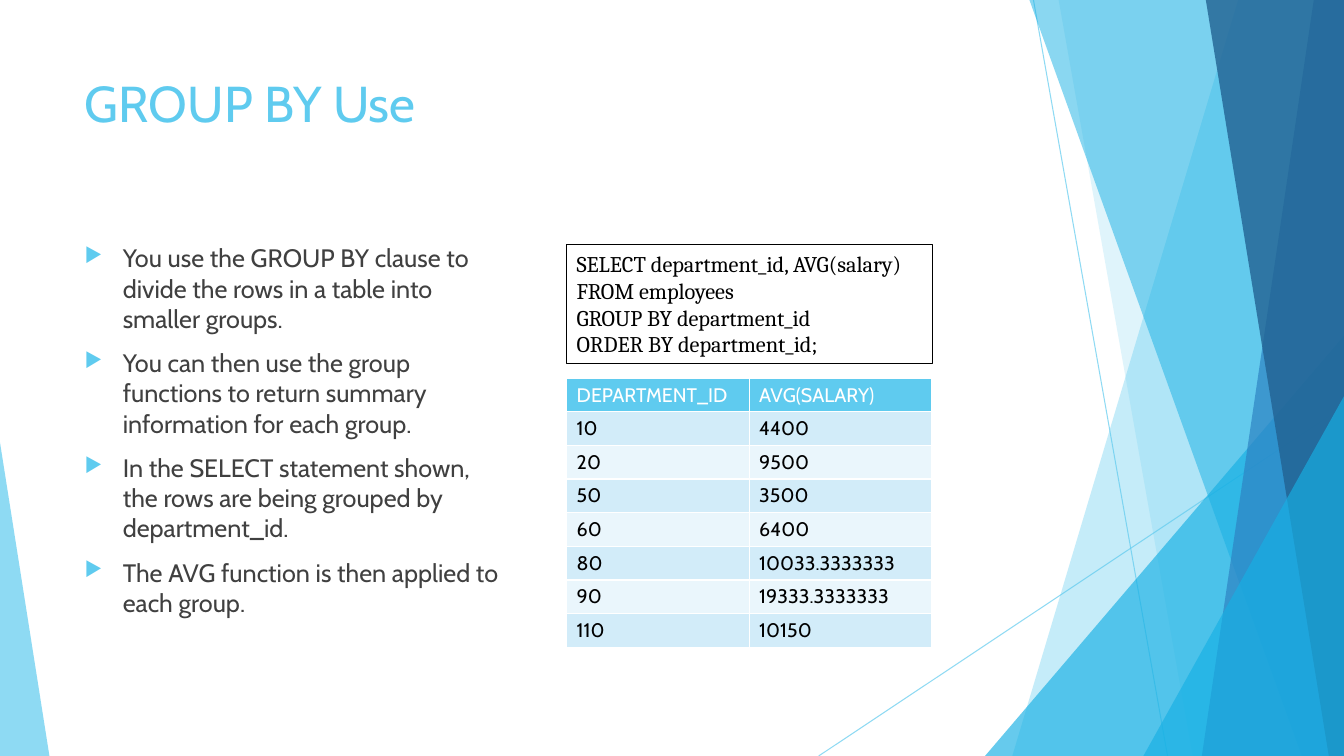
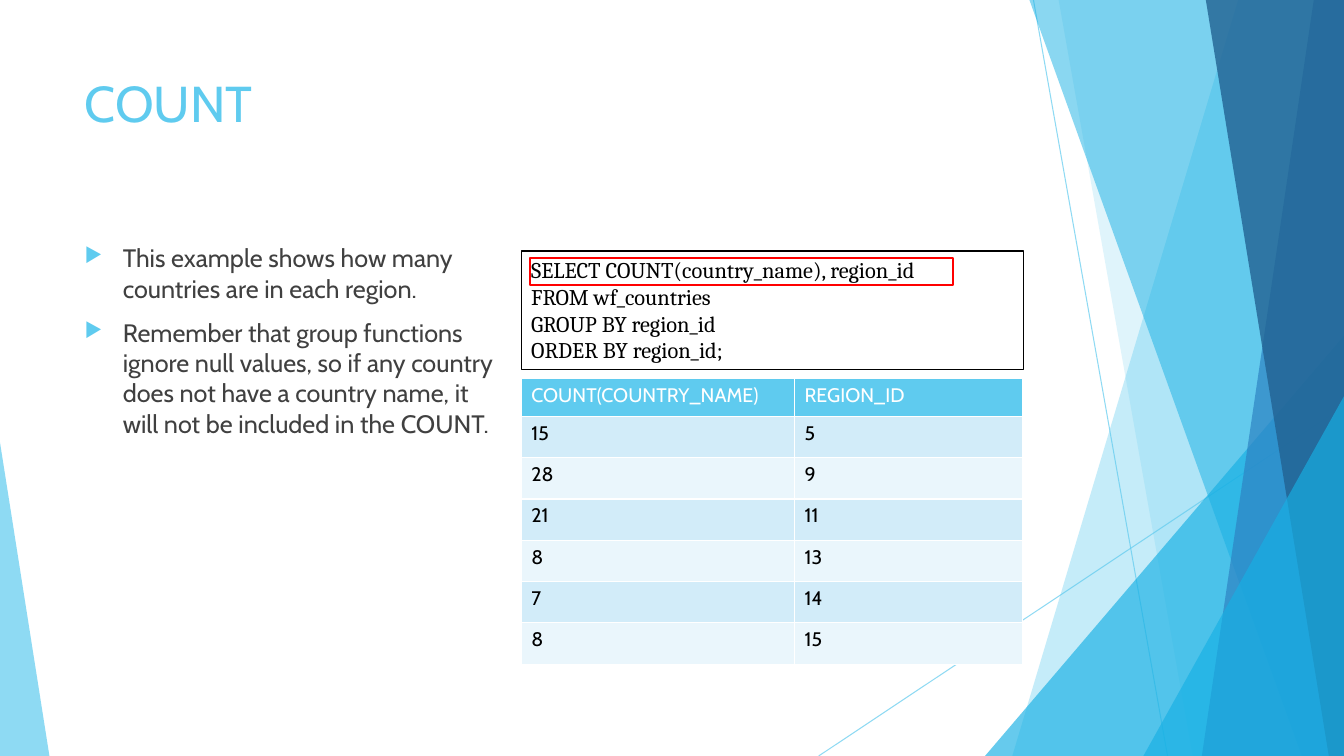
from lxml import etree
from pptx import Presentation
from pptx.dml.color import RGBColor
from pptx.enum.shapes import MSO_CONNECTOR, MSO_SHAPE
from pptx.enum.text import MSO_ANCHOR, PP_ALIGN
from pptx.oxml.ns import qn
from pptx.util import Inches, Pt

WIDTH, HEIGHT = 13.33, 7.5
COLORS = {
    "sky": "5FCBEF",
    "cyan": "17B0E4",
    "blue": "2E83C3",
    "navy": "226292",
    "text": "404040",
    "black": "000000",
    "white": "FFFFFF",
    "red": "FF0000",
    "odd_row": "D2ECF9",
    "even_row": "EAF6FC",
}
BODY_FONT, CODE_FONT = "Cabin", "Cambria"


def color(name):
    return RGBColor.from_string(COLORS[name])


def set_opacity(color_format_parent, percent):
    """Make the solid colour inside a fill or line element translucent."""
    rgb = next(color_format_parent.iter(qn("a:srgbClr")))
    etree.SubElement(rgb, qn("a:alpha"), val=str(percent * 1000))


def add_bullet(paragraph):
    properties = paragraph._p.get_or_add_pPr()
    properties.set("marL", str(Inches(0.38)))
    properties.set("indent", str(Inches(-0.38)))
    bullet_color = etree.SubElement(properties, qn("a:buClr"))
    etree.SubElement(bullet_color, qn("a:srgbClr"), val=COLORS["sky"])
    etree.SubElement(properties, qn("a:buSzPct"), val="80000")
    etree.SubElement(properties, qn("a:buChar"), char="▶")


class Deck:
    def __init__(self):
        self.presentation = Presentation()
        self.presentation.slide_width = Inches(WIDTH)
        self.presentation.slide_height = Inches(HEIGHT)
        self.layout = self.presentation.slide_layouts[5]
        self.slide = None

    def add_slide(self, title):
        is_first = self.slide is None
        self.slide = self.presentation.slides.add_slide(self.layout)
        if is_first:
            self.decorate_layout()
        placeholder = self.slide.shapes.title
        placeholder.left, placeholder.top = Inches(0.74), Inches(0.67)
        placeholder.width, placeholder.height = Inches(9.4), Inches(1.44)
        frame = placeholder.text_frame
        frame.vertical_anchor = MSO_ANCHOR.TOP
        frame.text = title
        frame.paragraphs[0].alignment = PP_ALIGN.LEFT
        self.style(frame.paragraphs[0], 36, "sky")

    def style(self, paragraph, size, color_name, font_name=BODY_FONT):
        font = paragraph.font
        font.name, font.size, font.bold = font_name, Pt(size), False
        font.color.rgb = color(color_name)

    def decorate_layout(self):
        """Draw the facets on the first slide, then move them to the layout."""
        shapes = [
            self.ray(10.25, 0, 11.58, HEIGHT),
            self.ray(WIDTH, 4.03, 8.12, HEIGHT),
            self.facet(12.28, 10.04, "sky", 36),
            self.facet(10.5, 11.83, "sky", 20),
            self.corner(9.77, 3.33, 3.56, "cyan", 66, 1),
            self.facet(10.21, 12.91, "cyan", 50),
            self.facet(13.03, 11.92, "blue", 70),
            self.facet(11.96, 13.18, "navy", 80),
            self.corner(11.34, 3.93, 1.99, "cyan", 66, 1),
            self.corner(0, 4.39, 0.49, "sky", 70, 0),
        ]
        for number, shape in enumerate(shapes, start=20):
            next(shape.element.iter(qn("p:cNvPr"))).set("id", str(number))
            self.layout.shapes.element.append(shape.element)

    def ray(self, x1, y1, x2, y2):
        connector = self.slide.shapes.add_connector(
            MSO_CONNECTOR.STRAIGHT, Inches(x1), Inches(y1), Inches(x2), Inches(y2))
        connector.line.color.rgb = color("sky")
        connector.line.width = Pt(0.75)
        properties = connector.element.spPr
        set_opacity(properties, 70)
        etree.SubElement(properties, qn("a:effectLst"))
        return connector

    def facet(self, top_x, bottom_x, color_name, opacity):
        """Fill from a slanted left edge to the right edge of the slide."""
        builder = self.slide.shapes.build_freeform(Inches(top_x), 0)
        corners = [(WIDTH, 0), (WIDTH, HEIGHT), (bottom_x, HEIGHT)]
        builder.add_line_segments([(Inches(x), Inches(y)) for x, y in corners])
        return self.translucent(builder.convert_to_shape(), color_name, opacity)

    def corner(self, left, top, width, color_name, opacity, apex):
        """Stand a right triangle on the bottom edge; apex 0 is left, 1 right."""
        shape = self.slide.shapes.add_shape(
            MSO_SHAPE.ISOSCELES_TRIANGLE, Inches(left), Inches(top),
            Inches(width), Inches(HEIGHT - top))
        shape.adjustments[0] = apex
        return self.translucent(shape, color_name, opacity)

    def translucent(self, shape, color_name, opacity):
        shape.shadow.inherit = False
        shape.fill.solid()
        shape.fill.fore_color.rgb = color(color_name)
        shape.line.fill.background()
        set_opacity(shape.element.spPr, opacity)
        return shape

    def bullets(self, width, items):
        box = self.slide.shapes.add_textbox(
            Inches(0.74), Inches(2.36), Inches(width), Inches(4.24))
        frame = box.text_frame
        frame.word_wrap = True
        for index, item in enumerate(items):
            paragraph = frame.add_paragraph() if index else frame.paragraphs[0]
            paragraph.text = item
            add_bullet(paragraph)
            if index:
                paragraph.space_before = Pt(10)
            self.style(paragraph, 18, "text")

    def outline(self, left, top, width, height, color_name, weight):
        shape = self.slide.shapes.add_shape(
            MSO_SHAPE.RECTANGLE, Inches(left), Inches(top), Inches(width), Inches(height))
        shape.shadow.inherit = False
        shape.fill.background()
        shape.line.color.rgb = color(color_name)
        shape.line.width = Pt(weight)
        return shape

    def code(self, left, top, width, lines):
        frame = self.outline(left, top, width, 1.18, "black", 0.75).text_frame
        frame.word_wrap = True
        frame.vertical_anchor = MSO_ANCHOR.TOP
        frame.text = "\n".join(lines)
        for paragraph in frame.paragraphs:
            paragraph.alignment = PP_ALIGN.LEFT
            self.style(paragraph, 16, "black", CODE_FONT)

    def table(self, left, column_widths, header_height, row_height, rows):
        height = header_height + row_height * (len(rows) - 1)
        table = self.slide.shapes.add_table(
            len(rows), len(column_widths), Inches(left), Inches(3.75),
            Inches(sum(column_widths)), Inches(height)).table
        for column, width in zip(table.columns, column_widths):
            column.width = Inches(width)
        for index, values in enumerate(rows):
            table.rows[index].height = Inches(row_height if index else header_height)
            band = ("odd_row" if index % 2 else "even_row") if index else "sky"
            for cell, value in zip(table.rows[index].cells, values):
                cell.text = value
                cell.fill.solid()
                cell.fill.fore_color.rgb = color(band)
                self.style(cell.text_frame.paragraphs[0], 14,
                           "black" if index else "white")


def main():
    deck = Deck()

    deck.add_slide("GROUP BY Use")
    deck.bullets(4.4, [
        "You use the GROUP BY clause to divide the rows in a table into smaller groups.",
        "You can then use the group functions to return summary information for each group.",
        "In the SELECT statement shown, the rows are being grouped by department_id.",
        "The AVG function is then applied to each group.",
    ])
    deck.table(5.62, [1.81, 1.81], 0.33, 0.33, [
        ("DEPARTMENT_ID", "AVG(SALARY)"),
        ("10", "4400"),
        ("20", "9500"),
        ("50", "3500"),
        ("60", "6400"),
        ("80", "10033.3333333"),
        ("90", "19333.3333333"),
        ("110", "10150"),
    ])
    deck.code(5.62, 2.43, 3.63, [
        "SELECT department_id, AVG(salary)",
        "FROM employees",
        "GROUP BY department_id",
        "ORDER BY department_id;",
    ])

    deck.add_slide("COUNT")
    deck.bullets(4.3, [
        "This example shows how many countries are in each region.",
        "Remember that group functions ignore null values, so if any country does "
        "not have a country name, it will not be included in the COUNT.",
    ])
    deck.table(5.17, [2.71, 2.26], 0.38, 0.41, [
        ("COUNT(COUNTRY_NAME)", "REGION_ID"),
        ("15", "5"),
        ("28", "9"),
        ("21", "11"),
        ("8", "13"),
        ("7", "14"),
        ("8", "15"),
    ])
    deck.code(5.17, 2.49, 4.98, [
        "SELECT COUNT(country_name), region_id",
        "FROM wf_countries",
        "GROUP BY region_id",
        "ORDER BY region_id;",
    ])
    deck.outline(5.26, 2.56, 4.19, 0.27, "red", 1.5)

    deck.presentation.save("out.pptx")


if __name__ == "__main__":
    main()
